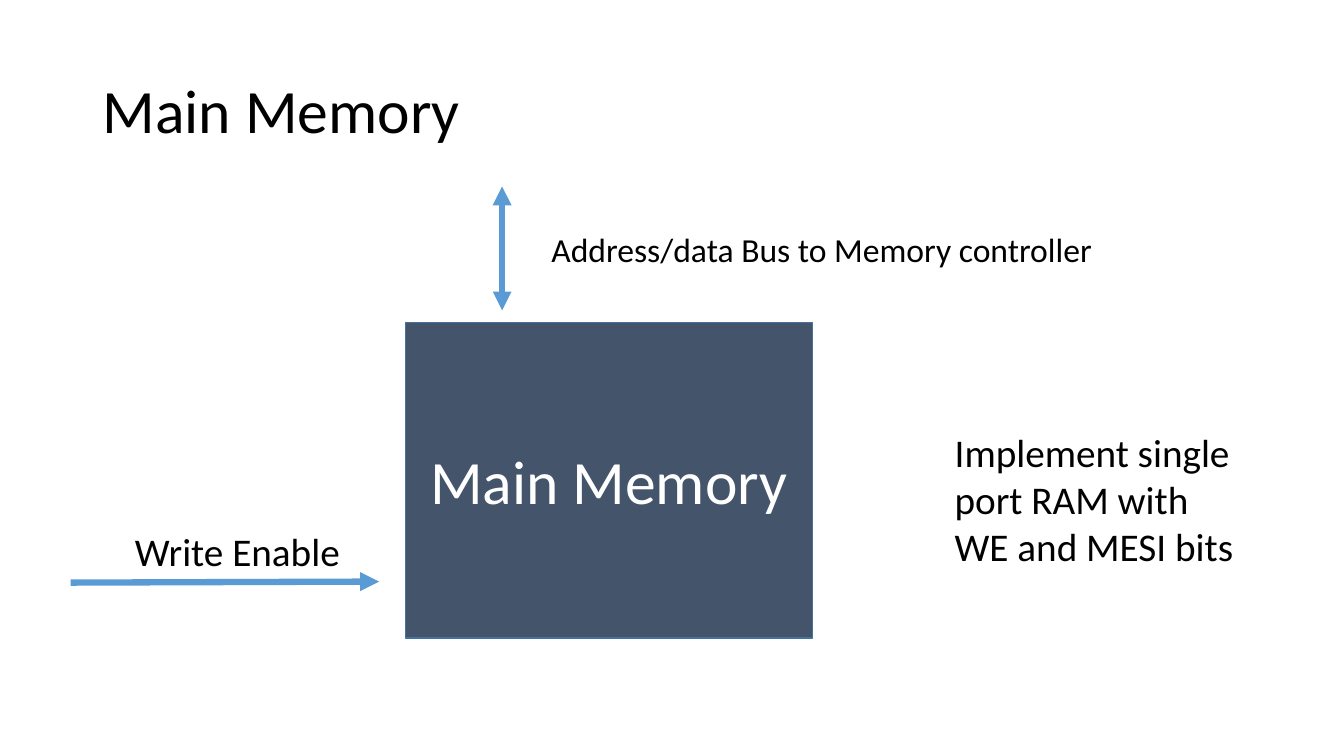
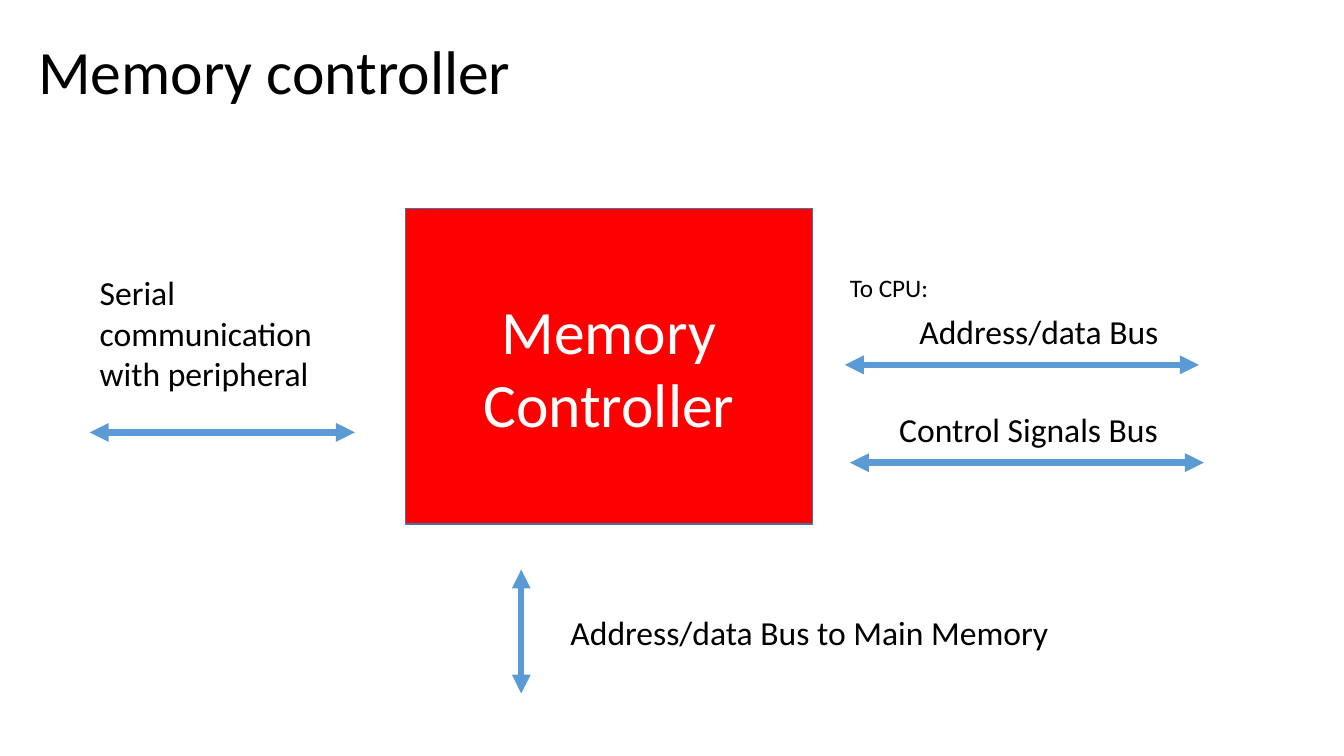
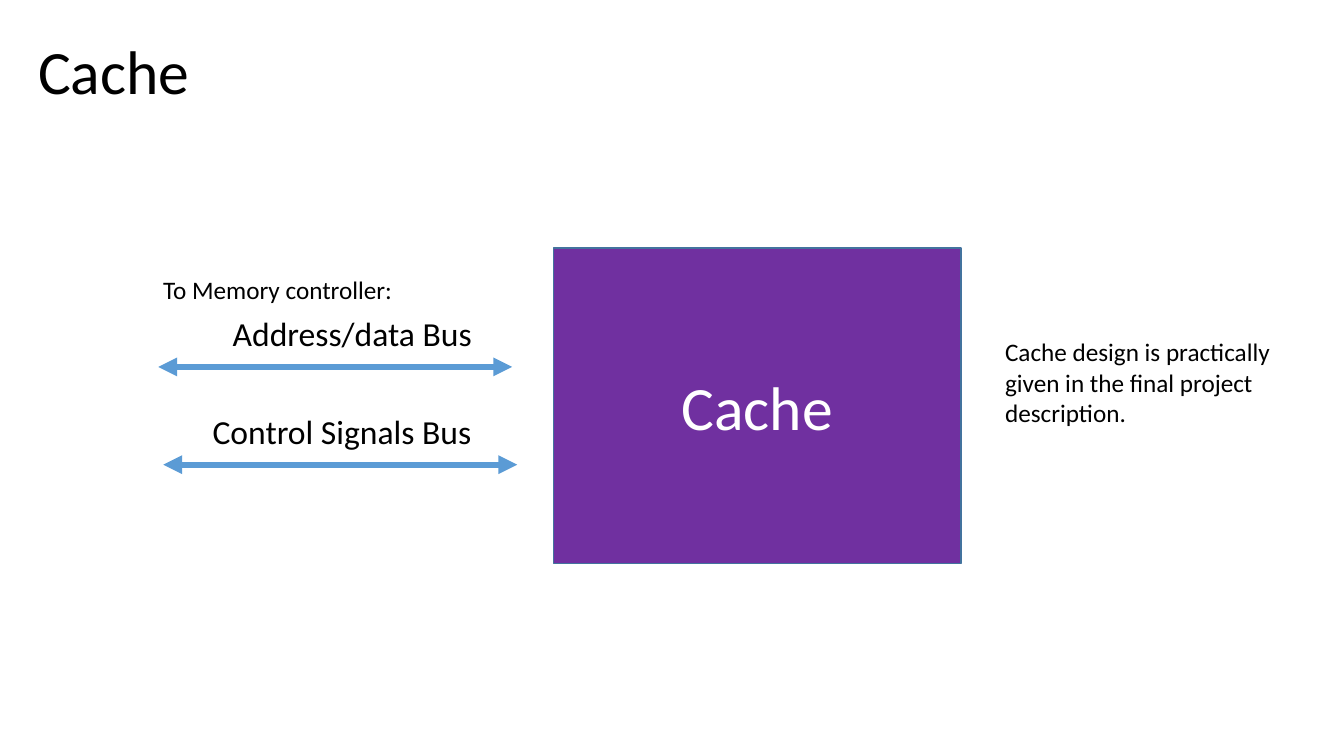
from dataclasses import dataclass

from lxml import etree
from pptx import Presentation
from pptx.dml.color import RGBColor
from pptx.enum.shapes import MSO_CONNECTOR, MSO_SHAPE
from pptx.enum.text import MSO_ANCHOR, MSO_AUTO_SIZE, PP_ALIGN
from pptx.oxml.ns import qn
from pptx.util import Inches, Pt

RECT = MSO_SHAPE.RECTANGLE
STRAIGHT = MSO_CONNECTOR.STRAIGHT
MIDDLE = MSO_ANCHOR.MIDDLE
CENTER = PP_ALIGN.CENTER
GROW = MSO_AUTO_SIZE.SHAPE_TO_FIT_TEXT


@dataclass(frozen=True)
class Theme:
    font: str = "Calibri"
    title_size: int = 44
    large: int = 28
    body: int = 24
    small: int = 18
    text: RGBColor = RGBColor(0x00, 0x00, 0x00)
    box_text: RGBColor = RGBColor(0xFF, 0xFF, 0xFF)
    box_line: RGBColor = RGBColor(0x43, 0x73, 0x9E)
    arrow: RGBColor = RGBColor(0x5B, 0x9B, 0xD5)
    memory: RGBColor = RGBColor(0x44, 0x54, 0x6A)
    controller: RGBColor = RGBColor(0xFF, 0x00, 0x00)
    cache: RGBColor = RGBColor(0x70, 0x30, 0xA0)


T = Theme()
BOX_W, BOX_H = 4.04, 3.13
TITLE_W, TITLE_H = 11.5, 1.45
BUS_LENGTH = 3.51


def add_text(s, text, x, y, w, h, size, wrap=True):
    sp = s.shapes.add_textbox(Inches(x), Inches(y), Inches(w), Inches(h))
    tf = sp.text_frame
    tf.word_wrap = wrap
    tf.auto_size = GROW
    r = tf.paragraphs[0].add_run()
    r.text = text
    r.font.name = T.font
    r.font.size = Pt(size)
    r.font.color.rgb = T.text
    return tf


def add_arrow(s, x1, y1, x2, y2, ends=("headEnd", "tailEnd")):
    sp = s.shapes.add_connector(
        STRAIGHT, Inches(x1), Inches(y1), Inches(x2), Inches(y2))
    sp.line.color.rgb = T.arrow
    sp.line.width = Pt(4.5)
    ln = sp.line._get_or_add_ln()
    for end in ends:
        etree.SubElement(ln, qn(f"a:{end}"), type="triangle")
    etree.SubElement(sp._element.spPr, qn("a:effectLst"))


prs = Presentation()
prs.slide_width = Inches(13.33)
prs.slide_height = Inches(7.5)

slides = []
for title, title_x, title_y, label, box_x, box_y, fill in (
    ("Main Memory", 0.92, 0.4, "Main Memory", 4.02, 3.2, T.memory),
    ("Memory controller", 0.28, 0.01, "Memory Controller", 4.02, 2.07, T.controller),
    ("Cache", 0.28, 0.01, "Cache", 5.49, 2.46, T.cache),
):
    s = prs.slides.add_slide(prs.slide_layouts[6])
    slides.append(s)

    tf = add_text(s, title, title_x, title_y, TITLE_W, TITLE_H, T.title_size)
    tf.auto_size = MSO_AUTO_SIZE.NONE
    tf.vertical_anchor = MIDDLE
    tf.paragraphs[0].line_spacing = 0.9

    sp = s.shapes.add_shape(
        RECT, Inches(box_x), Inches(box_y), Inches(BOX_W), Inches(BOX_H))
    sp.shadow.inherit = False
    sp.fill.solid()
    sp.fill.fore_color.rgb = fill
    sp.line.color.rgb = T.box_line
    sp.line.width = Pt(1)
    tf = sp.text_frame
    tf.word_wrap = True
    tf.vertical_anchor = MIDDLE
    p = tf.paragraphs[0]
    p.alignment = CENTER
    r = p.add_run()
    r.text = label
    r.font.name = T.font
    r.font.size = Pt(T.title_size)
    r.font.color.rgb = T.box_text

memory, controller, cache = slides

add_arrow(memory, 4.98, 3.08, 4.98, 1.85)
add_text(memory, "Address/data Bus to Memory controller", 5.37, 2.22, 5.72, 0.91, T.body)
add_text(memory, "Write Enable", 1.24, 5.18, 2.25, 0.57, T.large, wrap=False)
add_arrow(memory, 0.7, 5.78, 3.76, 5.77, ends=("tailEnd",))
add_text(memory, "Implement single port RAM with WE and MESI bits",
         9.37, 4.2, 3.05, 1.51, T.large)

add_text(controller, "Serial communication with peripheral", 0.89, 2.65, 2.85, 1.31, T.body)
add_arrow(controller, 0.89, 4.29, 3.52, 4.29)
add_arrow(controller, 5.17, 6.88, 5.17, 5.65)
add_text(controller, "Address/data Bus to Main Memory", 5.56, 6.02, 4.98, 0.5, T.body)

add_text(cache, "Cache design is practically given in the final project description.",
         9.87, 3.29, 3.14, 1.01, T.small)

for s, target, target_w, x, y in (
    (controller, "To CPU:", 0.99, 8.38, 3.62),
    (cache, "To Memory controller:", 2.5, 1.57, 3.64),
):
    add_text(s, target, x - 0.05, y - 0.97, target_w, 0.4, T.small, wrap=False)
    for bus, label_dx, label_w, dx, dy in (
        ("Address/data Bus", 0.64, 2.6, 0, 0),
        ("Control Signals Bus", 0.44, 2.79, 0.05, 0.97),
    ):
        add_text(s, bus, x + label_dx, y + dy - 0.58, label_w, 0.5, T.body)
        add_arrow(s, x + dx, y + dy, x + dx + BUS_LENGTH, y + dy)

prs.save("out.pptx")
